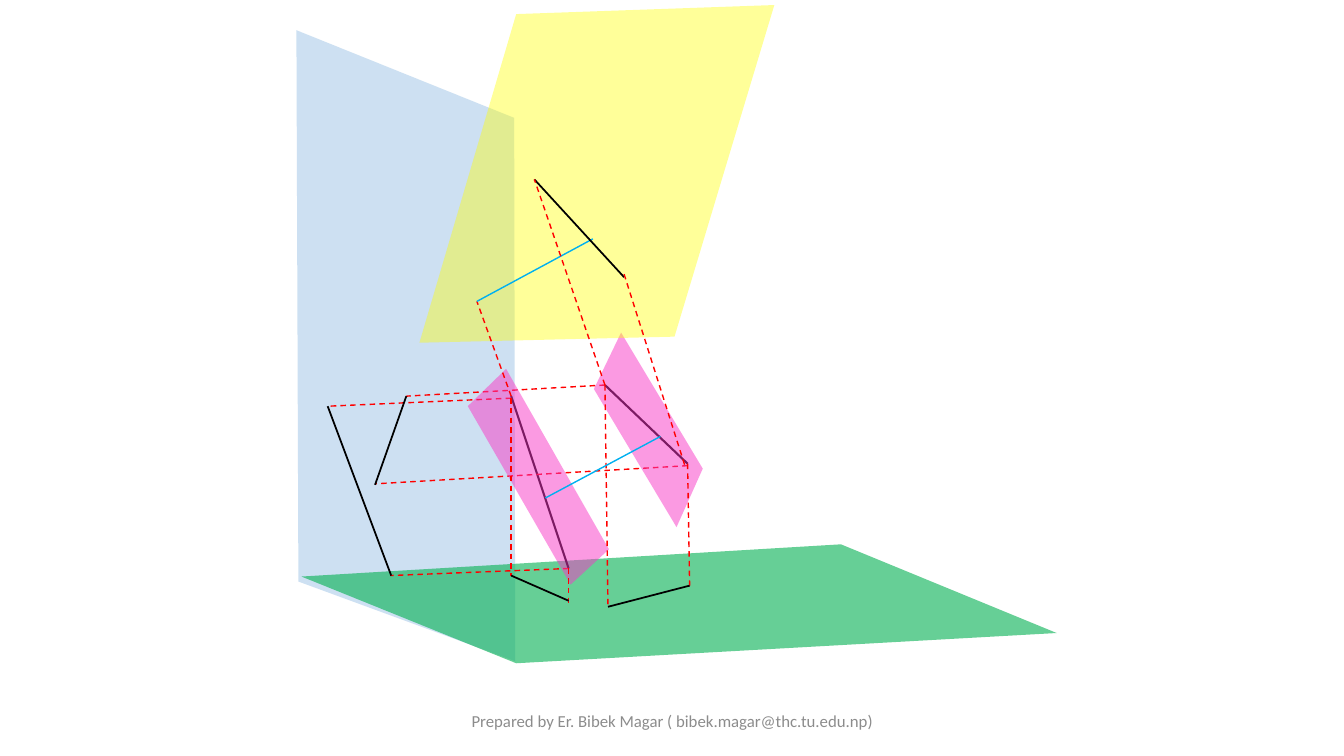
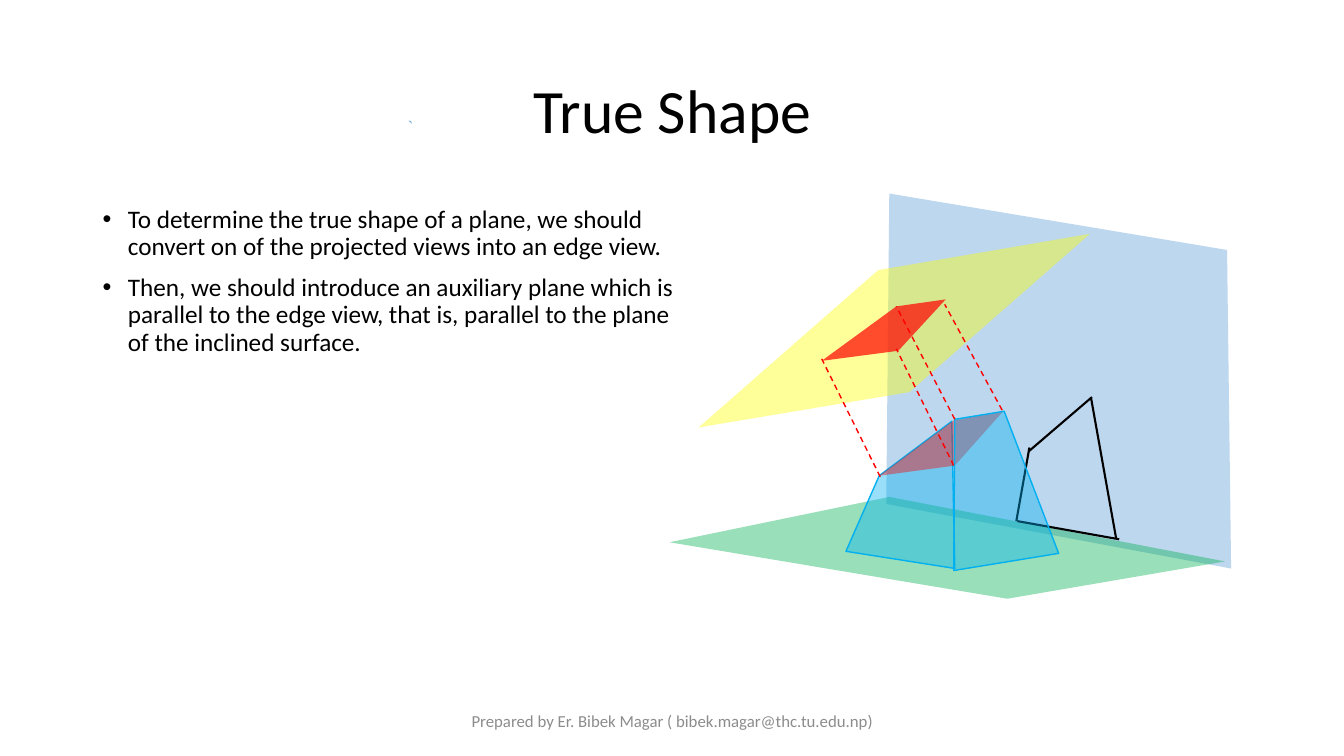
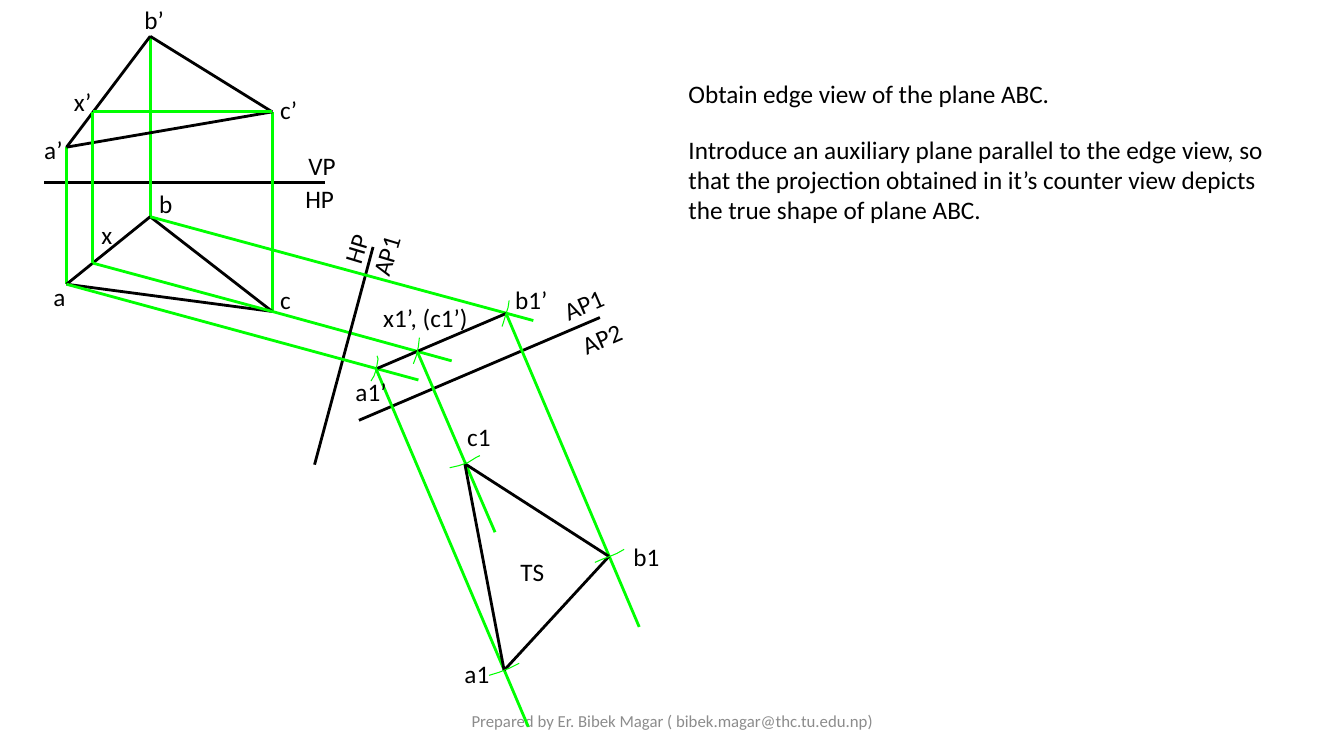
"""Build three slides on auxiliary projection and the true shape of a plane."""
from lxml.etree import SubElement
from pptx import Presentation
from pptx.dml.color import RGBColor
from pptx.enum.dml import MSO_LINE
from pptx.enum.shapes import MSO_CONNECTOR, MSO_SHAPE
from pptx.enum.text import MSO_ANCHOR, MSO_AUTO_SIZE, PP_ALIGN
from pptx.oxml.ns import qn
from pptx.util import Pt

PX = 9144
FONT = "Calibri"
BLACK, RED, GREEN, SKY = "000000", "FF0000", "00FF00", "00B0F0"
TITLE_ONLY, BLANK = 5, 6
FOOTER = "Prepared by Er. Bibek Magar ( bibek.magar@thc.tu.edu.np)"

LINES = {
    "edge": dict(color=BLACK, width=1.25),
    "heavy edge": dict(color=BLACK, width=1.5),
    "projector": dict(color=RED, width=1, dashed=True),
    "axis": dict(color=SKY, width=1),
    "outline": dict(color=BLACK, width=0),
    "construction": dict(color=GREEN, width=0),
}
FILLS = {
    "light vertical plane": dict(color="5B9BD5", opacity=30),
    "vertical plane": dict(color="5B9BD5", opacity=40),
    "floor": dict(color="00B050", opacity=60),
    "light floor": dict(color="00B050", opacity=40),
    "auxiliary plane": dict(color="FFFF00", opacity=40),
    "surface": dict(color="F937C6", opacity=50),
    "solid face": dict(color=SKY, opacity=40, border="axis"),
    "inclined face": dict(color=RED, opacity=40),
    "true shape": dict(color=RED, opacity=70),
}

EDGE_VIEW = [
    ("light vertical plane", (511, 656), (510, 117), (294, 30), (296, 577)),
    ("floor", (512, 658), (1048, 628), (834, 540), (299, 572)),
    ("heavy edge", (564, 564), (507, 393)),
    ("projector", (507, 395), (325, 403)),
    ("projector", (564, 564), (387, 571)),
    ("edge", (388, 571), (325, 403)),
    ("heavy edge", (600, 382), (682, 460)),
    ("projector", (600, 382), (403, 393)),
    ("projector", (682, 462), (372, 480)),
    ("edge", (372, 481), (403, 393)),
    ("surface", (566, 580), (464, 403), (502, 366), (604, 545)),
    ("surface", (671, 523), (589, 386), (616, 330), (697, 465)),
    ("projector", (564, 564), (564, 598)),
    ("projector", (507, 395), (507, 571)),
    ("edge", (507, 571), (564, 596)),
    ("projector", (600, 382), (603, 601)),
    ("projector", (682, 460), (684, 581)),
    ("edge", (684, 581), (603, 602)),
    ("auxiliary plane", (416, 340), (669, 334), (768, 5), (512, 14)),
    ("projector", (507, 393), (473, 299)),
    ("axis", (473, 299), (588, 237)),
    ("edge", (530, 178), (619, 275)),
    ("projector", (600, 382), (530, 178)),
    ("projector", (679, 461), (619, 272)),
    ("axis", (541, 494), (655, 433)),
]

TITLE = "True Shape"
BULLETS = [
    "To determine the true shape of a plane, we should convert on of the projected views into an edge view.",
    "Then, we should introduce an auxiliary plane which is parallel to the edge view, that is, "
    "parallel to the plane of the inclined surface.",
]
SMALL_ARC = (403, 120, 5, 5)
SOLID_BACK = [
    ("vertical plane", (879, 500), (1221, 564), (1217, 248), (882, 192)),
    ("light floor", (1215, 557), (999, 594), (664, 538), (882, 493)),
    ("solid face", (947, 564), (839, 547), (872, 472), (944, 418)),
]
SOLID_FRONT = [
    ("heavy edge", (1009, 517), (1110, 535)),
    ("heavy edge", (1008, 517), (1021, 444)),
    ("heavy edge", (1020, 448), (1083, 394)),
    ("heavy edge", (1082, 394), (1107, 534)),
    ("auxiliary plane", (693, 424), (871, 268), (1081, 232), (902, 389)),
    ("projector", (873, 473), (815, 356)),
    ("projector", (946, 462), (889, 346)),
    ("projector", (994, 407), (937, 302)),
    ("inclined face", (872, 472), (947, 462), (995, 408), (946, 417)),
    ("solid face", (946, 566), (947, 416), (996, 408), (1050, 549)),
    ("true shape", (815, 358), (891, 348), (938, 297), (889, 304)),
    ("projector", (947, 416), (889, 304)),
]

FRONT_A, FRONT_B, FRONT_C, FRONT_X = (66, 146), (149, 36), (270, 111), (92, 111)
TOP_A, TOP_B, TOP_C, TOP_X = (66, 282), (149, 215), (270, 309), (92, 261)
EDGE_A, EDGE_B, EDGE_C = (373, 366), (502, 311), (414, 349)
TRUE_A, TRUE_B, TRUE_C = (500, 665), (604, 552), (461, 460)
TRUE_SHAPE_VIEWS = [
    ("outline", (44, 181), (322, 181)),
    ("construction", FRONT_A, TOP_A),
    ("construction", FRONT_B, TOP_B),
    ("construction", FRONT_C, TOP_C),
    ("outline", FRONT_A, FRONT_B, FRONT_C, FRONT_A),
    ("outline", TOP_A, TOP_B, TOP_C, TOP_A),
    ("construction", FRONT_C, FRONT_X, TOP_X, TOP_C, (448, 358)),
    ("outline", (370, 245), (312, 461)),
    ("construction", TOP_B, (529, 318)),
    ("construction", TOP_A, (415, 377)),
    ("outline", EDGE_A, EDGE_B),
    ("outline", (356, 417), (595, 315)),
    ("construction", EDGE_A, (524, 721)),
    ("construction", EDGE_C, (491, 528)),
    ("construction", EDGE_B, (634, 622)),
    ("outline", TRUE_A, TRUE_C, TRUE_B, TRUE_A),
]
COMPASS_ARCS = [
    [(368, 378), (371, 373), (373, 367), (374, 362), (375, 356), (374, 353)],
    [(498, 324), (500, 318), (502, 311), (504, 305), (505, 298)],
    [(410, 361), (413, 353), (415, 344), (416, 335)],
    [(485, 670), (495, 667), (505, 663), (515, 658)],
    [(446, 464), (455, 462), (464, 459), (472, 454), (476, 452)],
    [(590, 558), (597, 555), (605, 552), (612, 549), (619, 545)],
]
LEFT_LABELS = [
    ("VP", 296, 144, 56), ("HP", 293, 177, 56), ("b", 148, 182, 39), ("a", 43, 274, 39),
    ("c", 268, 277, 39), ("a’", 34, 128, 39), ("c’", 268, 89, 39),
    ("Obtain edge view of the plane ABC.", 673, 73, 599),
]
CENTRED_LABELS = [
    ("b’", 125, -1, 56), ("a1’", 336, 368, 64), ("b1’", 495, 277, 64),
    ("x1’, (c1’)", 368, 295, 108), ("a1", 441, 648, 64), ("b1", 609, 532, 64),
    ("c1", 443, 413, 64), ("x", 74, 213, 64), ("x’", 50, 81, 64), ("TS", 495, 547, 66),
]
ROTATED_LABELS = [
    ("HP", 326, 223, 56, 286.7), ("AP1", 346, 225, 78, 286.7),
    ("AP1", 548, 278, 78, 336.6), ("AP2", 566, 312, 78, 336.6),
]
EXPLANATION = (
    "Introduce an auxiliary plane parallel to the edge view, so that the projection obtained "
    "in it’s counter view depicts the true shape of plane ABC."
)


def rgb(color):
    """Turn a hex string into a colour."""
    return RGBColor.from_string(color)


def emu(*lengths):
    """Scale px lengths to EMU."""
    return [length * PX for length in lengths]


def format_line(line, color, width, dashed=False):
    """Apply a line style."""
    line.color.rgb = rgb(color)
    line.width = Pt(width)
    if dashed:
        line.dash_style = MSO_LINE.DASH


def add_line(slide, start, end, style):
    """Draw one straight line."""
    connector = slide.shapes.add_connector(MSO_CONNECTOR.STRAIGHT, *emu(*start, *end))
    format_line(connector.line, **LINES[style])
    SubElement(connector._element.spPr, qn("a:effectLst"))


def add_outline(slide, points, closed):
    """Draw a freeform without a shadow."""
    builder = slide.shapes.build_freeform(*points[0], scale=PX)
    builder.add_line_segments(points[1:], close=closed)
    shape = builder.convert_to_shape()
    shape.shadow.inherit = False
    return shape


def add_face(slide, points, color, opacity, border=None):
    """Draw a translucent polygon."""
    shape = add_outline(slide, points, True)
    shape.fill.solid()
    shape.fill.fore_color.rgb = rgb(color)
    color_element = shape._element.spPr.find(qn("a:solidFill"))[0]
    SubElement(color_element, qn("a:alpha"), val=str(opacity * 1000))
    if border:
        format_line(shape.line, **LINES[border])
    else:
        shape.line.fill.background()


def draw(slide, parts):
    """Draw faces and chains of lines from back to front."""
    for style, *points in parts:
        if style in FILLS:
            add_face(slide, points, **FILLS[style])
        else:
            for start, end in zip(points, points[1:]):
                add_line(slide, start, end, style)


def write(shape, *texts, size=18, color=BLACK, align=PP_ALIGN.LEFT, anchor=MSO_ANCHOR.TOP,
          spacing=None, gap=0, bullet=None):
    """Fill a shape with formatted paragraphs."""
    frame = shape.text_frame
    frame.word_wrap = True
    frame.vertical_anchor = anchor
    for index, text in enumerate(texts):
        paragraph = frame.add_paragraph() if index else frame.paragraphs[0]
        paragraph.alignment = align
        if spacing:
            paragraph.line_spacing = spacing
        if index:
            paragraph.space_before = Pt(gap)
        if bullet:
            properties = paragraph._p.get_or_add_pPr()
            properties.set("marL", str(25 * PX))
            properties.set("indent", str(-25 * PX))
            SubElement(properties, qn("a:buFont"), typeface="Arial")
            SubElement(properties, qn("a:buChar"), char=bullet)
        run = paragraph.add_run()
        run.text = text
        run.font.name = FONT
        run.font.size = Pt(size)
        run.font.color.rgb = rgb(color)


def add_label(slide, text, left, top, width, rotation=0, height=40, **text_format):
    """Place a text box that grows with its text."""
    box = slide.shapes.add_textbox(*emu(left, top, width, height))
    write(box, text, **text_format)
    box.text_frame.auto_size = MSO_AUTO_SIZE.SHAPE_TO_FIT_TEXT
    box.rotation = rotation


def add_slide(presentation, layout):
    """Add a slide with the shared footer."""
    slide = presentation.slides.add_slide(presentation.slide_layouts[layout])
    footer = slide.shapes.add_textbox(*emu(442, 695, 450, 40))
    write(footer, FOOTER, size=12, color="8C8C8C", align=PP_ALIGN.CENTER, anchor=MSO_ANCHOR.MIDDLE)
    return slide


def build_edge_view(presentation):
    """Build the edge view slide."""
    draw(add_slide(presentation, BLANK), EDGE_VIEW)


def build_true_shape(presentation):
    """Build the titled slide with bullets and the cut solid."""
    slide = add_slide(presentation, TITLE_ONLY)
    title = slide.shapes.title
    title.left, title.top, title.width, title.height = emu(92, 40, 1150, 145)
    write(title, TITLE, size=44, align=PP_ALIGN.CENTER, anchor=MSO_ANCHOR.MIDDLE, spacing=0.9)
    body = slide.shapes.add_textbox(*emu(92, 200, 587, 476))
    write(body, *BULLETS, spacing=0.9, gap=10, bullet="•")
    draw(slide, SOLID_BACK)
    arc = slide.shapes.add_shape(MSO_SHAPE.ARC, *emu(*SMALL_ARC))
    arc.shadow.inherit = False
    arc.fill.background()
    format_line(arc.line, "5B9BD5", 0.5)
    draw(slide, SOLID_FRONT)


def build_views(presentation):
    """Build the slide with the construction of the true shape."""
    slide = add_slide(presentation, BLANK)
    draw(slide, TRUE_SHAPE_VIEWS)
    for points in COMPASS_ARCS:
        arc = add_outline(slide, points, False)
        arc.fill.background()
        format_line(arc.line, **LINES["construction"])
    for label in LEFT_LABELS + ROTATED_LABELS:
        add_label(slide, *label)
    for label in CENTRED_LABELS:
        add_label(slide, *label, align=PP_ALIGN.CENTER)
    add_label(slide, EXPLANATION, 673, 128, 599, height=101)


def main():
    """Build and save the presentation."""
    presentation = Presentation()
    presentation.slide_width, presentation.slide_height = emu(1333, 750)
    build_edge_view(presentation)
    build_true_shape(presentation)
    build_views(presentation)
    presentation.save("out.pptx")


if __name__ == "__main__":
    main()
